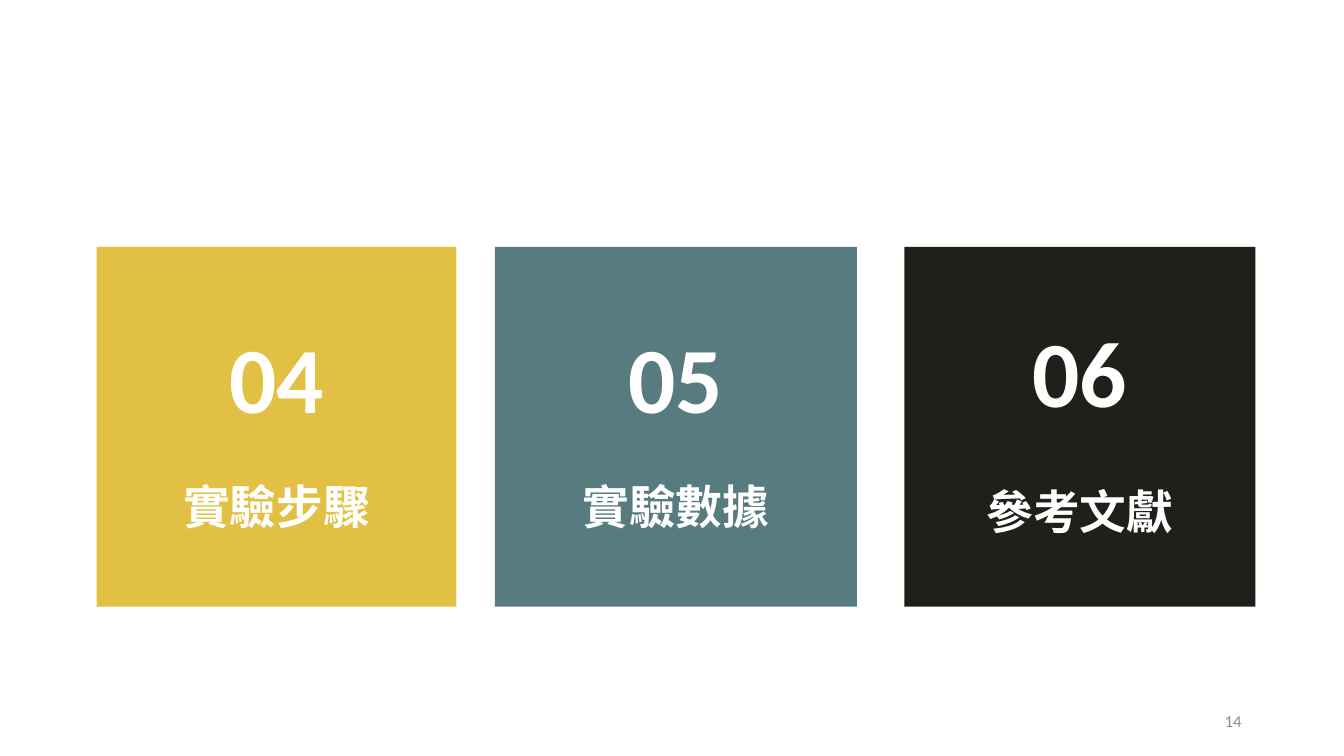
from pptx import Presentation
from pptx.dml.color import RGBColor
from pptx.enum import shapes, text
from pptx.util import Pt


def color(code):
    return RGBColor.from_string(code)


class Deck:
    font = "Calibri"
    white = "FFFFFF"
    gray = "8C8C8C"

    def __init__(self, wide, high):
        self.prs = Presentation()
        self.prs.slide_width, self.prs.slide_height = Pt(wide), Pt(high)
        self.slide = self.prs.slides.add_slide(self.prs.slide_layouts[6])

    def style(self, para, size, fill, align, bold=False):
        para.alignment = align
        for run in para.runs:
            run.font.name = self.font
            run.font.size = Pt(size)
            run.font.bold = bold
            run.font.color.rgb = color(fill)

    def tile(self, left, top, wide, high, fill, number, label, gap):
        box = self.slide.shapes.add_shape(
            shapes.MSO_SHAPE.RECTANGLE, Pt(left), Pt(top), Pt(wide), Pt(high))
        box.shadow.inherit = False
        box.fill.solid()
        box.fill.fore_color.rgb = color(fill)
        box.line.fill.background()
        frame = box.text_frame
        frame.word_wrap = True
        frame.vertical_anchor = text.MSO_ANCHOR.MIDDLE
        frame.text = f"{number}\n{label}"
        for para, size in zip(frame.paragraphs, (66.7, 33.3)):
            self.style(para, size, self.white, text.PP_ALIGN.CENTER, True)
        frame.paragraphs[1].space_before = Pt(gap)

    def note(self, left, top, wide, high, words):
        box = self.slide.shapes.add_textbox(Pt(left), Pt(top), Pt(wide), Pt(high))
        frame = box.text_frame
        frame.word_wrap = True
        frame.vertical_anchor = text.MSO_ANCHOR.MIDDLE
        frame.text = words
        self.style(frame.paragraphs[0], 12, self.gray, text.PP_ALIGN.RIGHT)


def main():
    deck = Deck(960, 540)

    # Section tiles: left, width, fill, number, label, gap above label
    tiles = [
        (69, 257, "E2C044", "04", "實驗步驟", 32.6),
        (353.5, 258.5, "587B7F", "05", "實驗數據", 32.6),
        (646, 250.8, "1E2019", "06", "參考文獻", 40.6),
    ]
    for left, wide, fill, number, label, gap in tiles:
        deck.tile(left, 176.4, wide, 257, fill, number, label, gap)

    # Page number
    deck.note(678, 500.5, 216, 28.8, "14")

    deck.prs.save("out.pptx")


if __name__ == "__main__":
    main()
